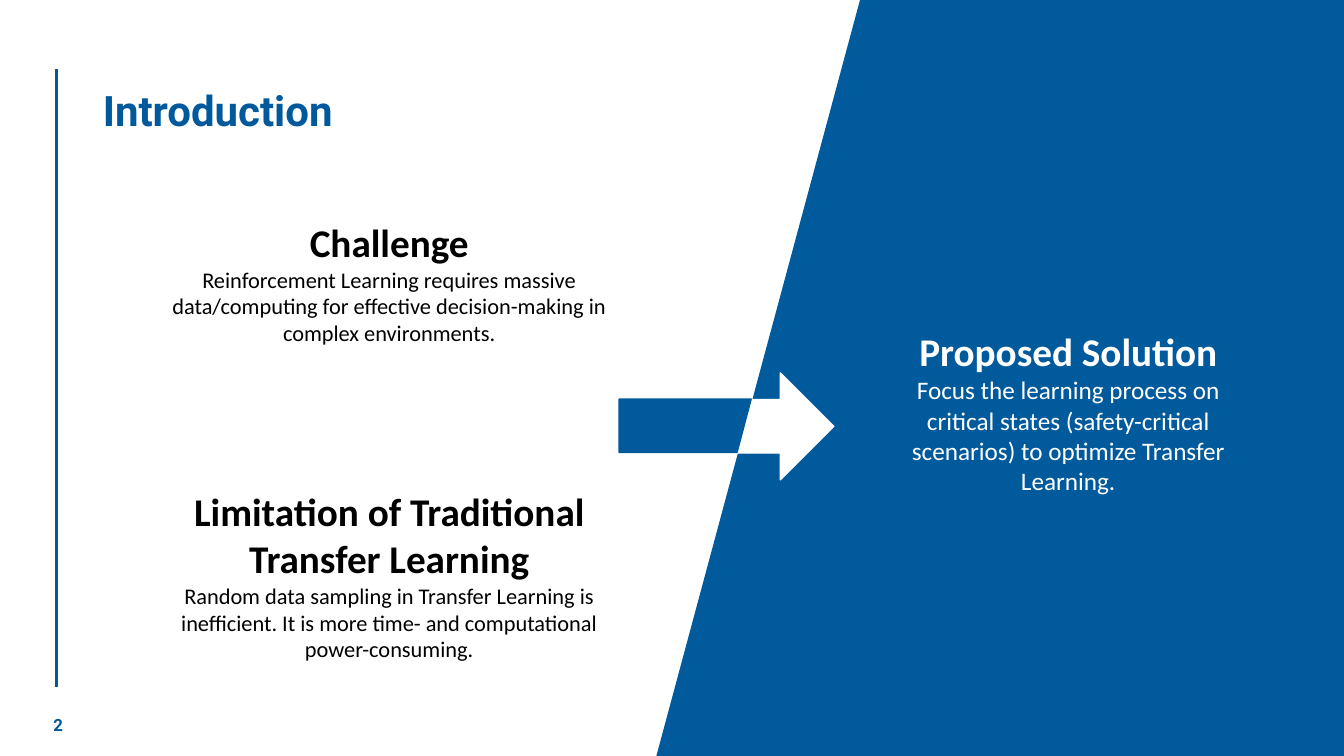
from pptx import Presentation
from pptx.dml.color import RGBColor
from pptx.enum.shapes import MSO_CONNECTOR, MSO_SHAPE
from pptx.enum.text import MSO_ANCHOR as Anchor, MSO_AUTO_SIZE as AutoSize, PP_ALIGN as Align
from pptx.oxml.xmlchemy import OxmlElement
from pptx.util import Inches, Pt

ACCENT = RGBColor(0x00, 0x59, 0x9C)
PANEL = RGBColor(0x00, 0x5A, 0x9B)
WHITE = RGBColor(0xFF, 0xFF, 0xFF)
BLACK = RGBColor(0x00, 0x00, 0x00)


def style_paragraph(para, font_name, size, color, bold, align=Align.LEFT):
    """Align a paragraph and format its runs."""
    para.alignment = align
    for span in para.runs:
        span.font.name = font_name
        span.font.size = Pt(size)
        span.font.bold = bold
        span.font.color.rgb = color


def paint(shape, color, outlined=True):
    """Give a shape one flat colour."""
    shape.shadow.inherit = False
    shape.fill.solid()
    shape.fill.fore_color.rgb = color
    if outlined:
        shape.line.color.rgb = color
        shape.line.width = Pt(1)
    else:
        shape.line.fill.background()


def add_polygon(page, points, color, outlined=True):
    """Draw a closed outline through points given in inches."""
    corners = [(Inches(x), Inches(y)) for x, y in points]
    builder = page.shapes.build_freeform(*corners[0])
    builder.add_line_segments(corners[1:], close=True)
    paint(builder.convert_to_shape(), color, outlined)


def add_side_rule(page):
    """Draw the vertical rule at the left margin."""
    rule = page.shapes.add_connector(
        MSO_CONNECTOR.STRAIGHT, Inches(0.56), Inches(0.68), Inches(0.56), Inches(6.82))
    rule.line.color.rgb = ACCENT
    rule.line.width = Pt(2.25)
    rule._element.spPr.append(OxmlElement("a:effectLst"))


def add_title(page, text):
    """Fill and place the title placeholder."""
    title = page.shapes.title
    title.left, title.top = Inches(0.92), Inches(0.73)
    title.width, title.height = Inches(11.08), Inches(0.78)
    frame = title.text_frame
    frame.text = text
    frame.vertical_anchor = Anchor.MIDDLE
    frame.paragraphs[0].line_spacing = 0.9
    style_paragraph(frame.paragraphs[0], "Roboto", 30, ACCENT, True)


def add_page_number(page, text):
    """Add the page number at the bottom left."""
    box = page.shapes.add_textbox(Inches(0.43), Inches(6.98), Inches(2.82), Inches(0.43))
    box.text_frame.text = text
    box.text_frame.vertical_anchor = Anchor.MIDDLE
    box.text_frame.word_wrap = True
    style_paragraph(box.text_frame.paragraphs[0], "Roboto", 12, ACCENT, True)


def add_topics(page, left, top, width, height, topics, body_size, color, gap=0):
    """Add centred headings with their text, a gap in points between topics."""
    box = page.shapes.add_textbox(Inches(left), Inches(top), Inches(width), Inches(height))
    frame = box.text_frame
    frame.word_wrap = True
    frame.auto_size = AutoSize.SHAPE_TO_FIT_TEXT
    for index, (heading, body) in enumerate(topics):
        para = frame.add_paragraph() if index else frame.paragraphs[0]
        para.text = heading
        if index:
            para.space_before = Pt(gap)
        style_paragraph(para, "Calibri", 28, color, True, Align.CENTER)
        para = frame.add_paragraph()
        para.text = body
        style_paragraph(para, "Calibri", body_size, color, False, Align.CENTER)


def add_two_tone_arrow(page):
    """Draw the white arrow and the blue part of its shaft left of the panel."""
    arrow = page.shapes.add_shape(
        MSO_SHAPE.RIGHT_ARROW, Inches(6.15), Inches(3.7), Inches(2.12), Inches(1.06))
    paint(arrow, WHITE)
    add_polygon(page, [(6.14, 3.96), (7.45, 3.96), (7.31, 4.49), (6.14, 4.49)], PANEL)


def main():
    """Build the introduction slide."""
    deck = Presentation()
    deck.slide_width, deck.slide_height = Inches(13.33), Inches(7.5)
    page = deck.slides.add_slide(deck.slide_layouts[5])
    add_side_rule(page)
    add_polygon(page, [(8.53, 0), (13.33, 0), (13.33, 7.5), (6.51, 7.5)], PANEL, outlined=False)
    add_page_number(page, "2")
    add_title(page, "Introduction")
    add_topics(page, 1.57, 2.12, 4.58, 4.54, [
        ("Challenge",
         "Reinforcement Learning requires massive data/computing for effective "
         "decision-making in complex environments."),
        ("Limitation of Traditional Transfer Learning",
         "Random data sampling in Transfer Learning is inefficient. "
         "It is more time- and computational power-consuming."),
    ], 16, BLACK, gap=101)
    add_two_tone_arrow(page)
    add_topics(page, 8.64, 3.2, 3.91, 1.78, [
        ("Proposed Solution",
         "Focus the learning process on critical states (safety-critical scenarios) "
         "to optimize Transfer Learning."),
    ], 18, WHITE)
    deck.save("out.pptx")


if __name__ == "__main__":
    main()
